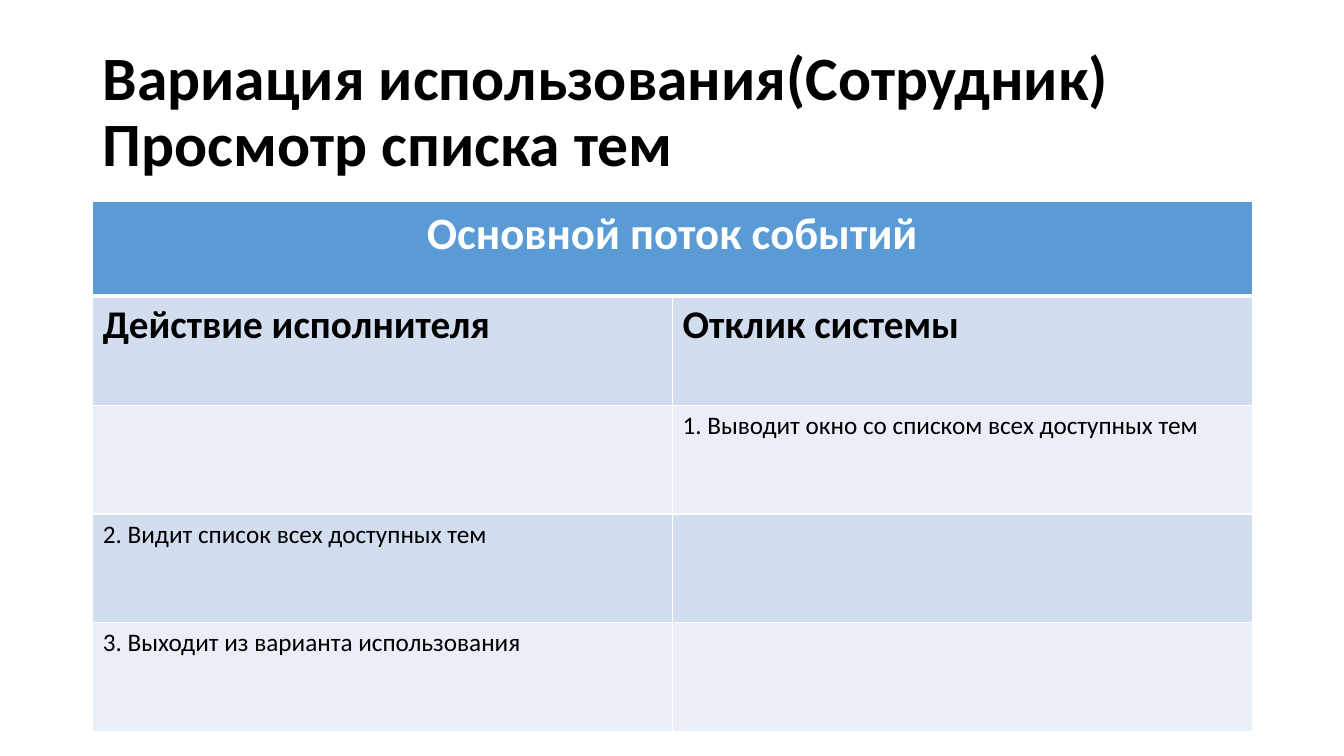
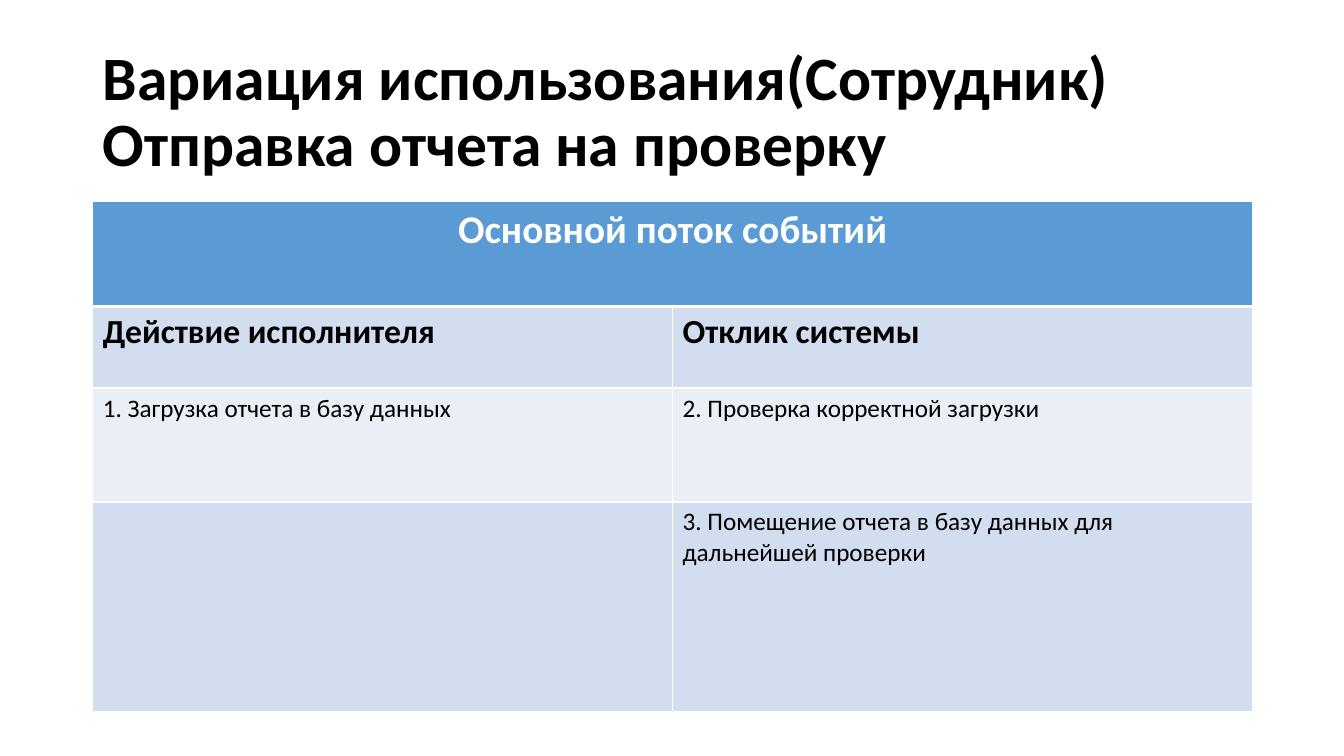
from dataclasses import dataclass

from lxml.etree import SubElement as Sub
from pptx import Presentation
from pptx.dml.color import RGBColor as Rgb
from pptx.enum.text import MSO_ANCHOR as Anchor, MSO_AUTO_SIZE as Fit, PP_ALIGN as Align
from pptx.oxml.ns import qn
from pptx.util import Inches, Pt


@dataclass(frozen=True)
class Theme:
    font: str = "Calibri"
    ink: str = "000000"
    paper: str = "FFFFFF"
    head: str = "5B9BD5"
    bands: tuple[str, str] = ("D2DEEF", "EAEFF7")
    title: int = 44
    body: int = 18
    thin: int = 1
    thick: int = 3


@dataclass(frozen=True)
class Flow:
    name: str
    sizes: tuple[int, int]
    highs: tuple[float, ...]
    steps: tuple[tuple[str, str], ...]


THEME = Theme()
LEFT, WIDTH = 0.92, 11.5
TOPIC = "Вариация использования(Сотрудник)"
HEAD = "Основной поток событий"
LABELS = ("Действие исполнителя", "Отклик системы")

FLOWS = (
    Flow("Просмотр списка тем", (32, 28), (0.94, 1.08, 1.08, 1.08, 1.08), (
        ("", "1. Выводит окно со списком всех доступных тем"),
        ("2. Видит список всех доступных тем", ""),
        ("3. Выходит из варианта использования", ""),
    )),
    Flow("Отправка отчета на проверку", (28, 24), (1.04, 0.81, 1.13, 2.08), (
        ("1. Загрузка отчета в базу данных", "2. Проверка корректной загрузки"),
        ("", "3. Помещение отчета в базу данных для дальнейшей проверки"),
    )),
)


def style(font, size: int, color: str, bold: bool) -> None:
    for key, value in {"name": THEME.font, "size": Pt(size), "bold": bold}.items():
        setattr(font, key, value)
    font.color.rgb = Rgb.from_string(color)


def edge(cell, row: int) -> None:
    props = cell._tc.get_or_add_tcPr()
    widths = {
        "L": THEME.thin,
        "R": THEME.thin,
        "T": THEME.thick if row == 1 else THEME.thin,
        "B": THEME.thick if row == 0 else THEME.thin,
    }
    for side, width in widths.items():
        line = Sub(props, qn(f"a:ln{side}"), w=str(Pt(width)))
        Sub(Sub(line, qn("a:solidFill")), qn("a:srgbClr"), val=THEME.paper)


def paint(cell, row: int, text: str, size: int) -> None:
    edge(cell, row)
    cell.fill.solid()
    fill = THEME.bands[(row - 1) % 2] if row else THEME.head
    cell.fill.fore_color.rgb = Rgb.from_string(fill)
    if text:
        cell.text = text
        para = cell.text_frame.paragraphs[0]
        para.alignment = Align.LEFT if row else Align.CENTER
        style(para.runs[0].font, size, THEME.ink if row else THEME.paper, row < 2)


def add_title(slide, name: str) -> None:
    title = slide.shapes.title
    place = {"left": LEFT, "top": 0.4, "width": WIDTH, "height": 1.45}
    for key, value in place.items():
        setattr(title, key, Inches(value))
    frame = title.text_frame
    look = {"vertical_anchor": Anchor.MIDDLE, "auto_size": Fit.NONE, "word_wrap": True}
    for key, value in look.items():
        setattr(frame, key, value)
    para = frame.paragraphs[0]
    para.alignment = Align.LEFT
    para.line_spacing = 0.9
    para.add_run().text = TOPIC
    para.add_line_break()
    para.add_run().text = name
    for run in para.runs:
        style(run.font, THEME.title, THEME.ink, True)


def add_flow(slide, flow: Flow) -> None:
    rows = ((HEAD, ""), LABELS, *flow.steps)
    table = slide.shapes.add_table(
        len(rows), 2, Inches(LEFT), Inches(2), Inches(WIDTH), Inches(sum(flow.highs))
    ).table
    for col in table.columns:
        col.width = Inches(WIDTH / 2)
    for row, (high, texts) in enumerate(zip(flow.highs, rows)):
        table.rows[row].height = Inches(high)
        size = flow.sizes[row] if row < 2 else THEME.body
        for col, text in enumerate(texts):
            paint(table.cell(row, col), row, text, size)
    table.cell(0, 0).merge(table.cell(0, 1))


def main() -> None:
    deck = Presentation()
    deck.slide_width, deck.slide_height = Inches(13.33), Inches(7.5)
    for flow in FLOWS:
        slide = deck.slides.add_slide(deck.slide_layouts[5])
        add_title(slide, flow.name)
        add_flow(slide, flow)
    deck.save("out.pptx")


if __name__ == "__main__":
    main()
